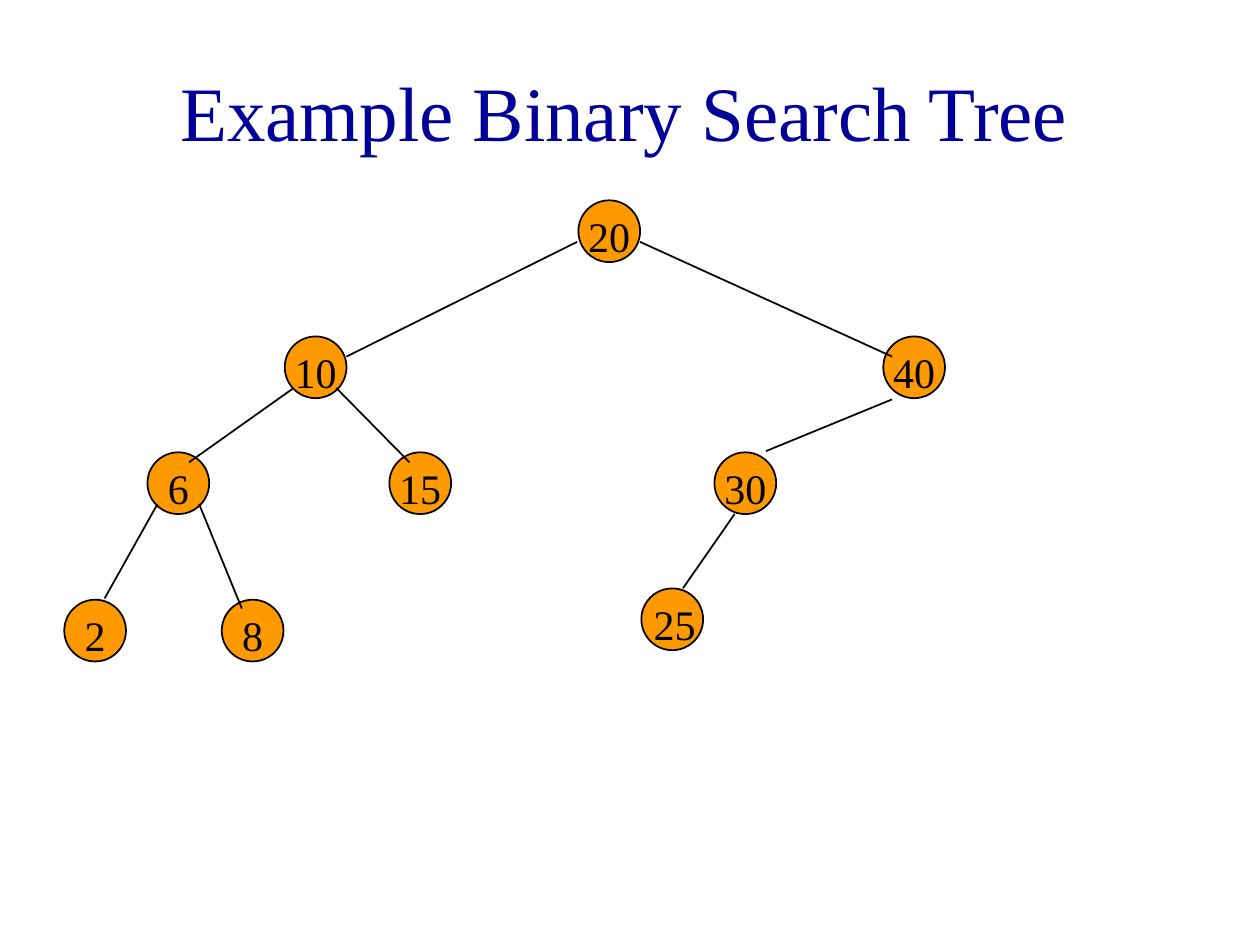
import pptx
import pptx.dml.color
import pptx.enum.shapes
import pptx.enum.text
import pptx.oxml.ns
import pptx.slide
import pptx.util
from lxml import etree
from typing import NamedTuple

Inches = pptx.util.Inches
Pt = pptx.util.Pt
RGBColor = pptx.dml.color.RGBColor

NAVY = RGBColor(0x00, 0x00, 0x99)
ORANGE = RGBColor(0xFF, 0x99, 0x00)
BLACK = RGBColor(0x00, 0x00, 0x00)

FONT = "Times New Roman"
DIAMETER = 0.49
LABEL_HEIGHT = 0.5
LABEL_DROP = 0.03
LABEL_PADDING = 0.2
DIGIT_WIDTH = 0.17


class Node(NamedTuple):
    key: int
    left: float
    top: float
    label_shift: float = 0


class Edge(NamedTuple):
    start: tuple[float, float]
    end: tuple[float, float]


NODES = [
    Node(20, 4.59, 1.59),
    Node(10, 2.26, 2.67),
    Node(40, 7.01, 2.67),
    Node(6, 1.17, 3.59),
    Node(15, 3.09, 3.59),
    Node(30, 5.67, 3.59),
    Node(2, 0.51, 4.76),
    Node(8, 1.76, 4.76),
    Node(25, 5.09, 4.67, label_shift=0.02),
]

EDGES = [
    Edge((4.58, 1.92), (2.75, 2.83)),  # 20 to 10
    Edge((5.08, 1.92), (7.08, 2.83)),  # 20 to 40
    Edge((2.33, 3.08), (1.5, 3.67)),   # 10 to 6
    Edge((2.67, 3.08), (3.25, 3.67)),  # 10 to 15
    Edge((7.08, 3.17), (6.08, 3.58)),  # 40 to 30
    Edge((1.25, 4), (0.83, 4.75)),     # 6 to 2
    Edge((1.58, 4), (1.92, 4.83)),     # 6 to 8
    Edge((5.83, 4.08), (5.42, 4.67)),  # 30 to 25
]


def add_text(slide: pptx.slide.Slide, text: str, left: float, top: float,
             width: float, height: float, size: int, color: RGBColor,
             wrap: bool, anchor: pptx.enum.text.MSO_ANCHOR) -> None:
    box = slide.shapes.add_textbox(
        Inches(left), Inches(top), Inches(width), Inches(height))
    frame = box.text_frame
    frame.text = text
    frame.word_wrap = wrap
    frame.vertical_anchor = anchor
    paragraph = frame.paragraphs[0]
    paragraph.alignment = pptx.enum.text.PP_ALIGN.CENTER
    font = paragraph.runs[0].font
    font.name = FONT
    font.size = Pt(size)
    font.color.rgb = color


def add_circle(slide: pptx.slide.Slide, node: Node) -> None:
    circle = slide.shapes.add_shape(
        pptx.enum.shapes.MSO_SHAPE.OVAL, Inches(node.left), Inches(node.top),
        Inches(DIAMETER), Inches(DIAMETER))
    circle.shadow.inherit = False
    circle.fill.solid()
    circle.fill.fore_color.rgb = ORANGE
    circle.line.color.rgb = BLACK
    circle.line.width = Pt(1)


def add_edge(slide: pptx.slide.Slide, edge: Edge) -> None:
    line = slide.shapes.add_connector(
        pptx.enum.shapes.MSO_CONNECTOR.STRAIGHT,
        *map(Inches, edge.start + edge.end))
    line.line.color.rgb = BLACK
    line.line.width = Pt(1)
    etree.SubElement(line._element.spPr, pptx.oxml.ns.qn("a:effectLst"))


def add_label(slide: pptx.slide.Slide, node: Node) -> None:
    text = str(node.key)
    width = LABEL_PADDING + DIGIT_WIDTH * len(text)
    left = node.left + (DIAMETER - width) / 2 + node.label_shift
    add_text(slide, text, left, node.top + LABEL_DROP, width, LABEL_HEIGHT,
             24, BLACK, False, pptx.enum.text.MSO_ANCHOR.TOP)


def main() -> None:
    presentation = pptx.Presentation()
    presentation.slide_width = Inches(10)
    presentation.slide_height = Inches(7.5)
    slide = presentation.slides.add_slide(presentation.slide_layouts[6])

    # Title
    add_text(slide, "Example Binary Search Tree", 0.08, 0.25, 9.75, 1.25,
             44, NAVY, True, pptx.enum.text.MSO_ANCHOR.MIDDLE)

    # Tree: circles, then edges, then keys on top
    for node in NODES:
        add_circle(slide, node)
    for edge in EDGES:
        add_edge(slide, edge)
    for node in NODES:
        add_label(slide, node)

    presentation.save("out.pptx")


if __name__ == "__main__":
    main()
